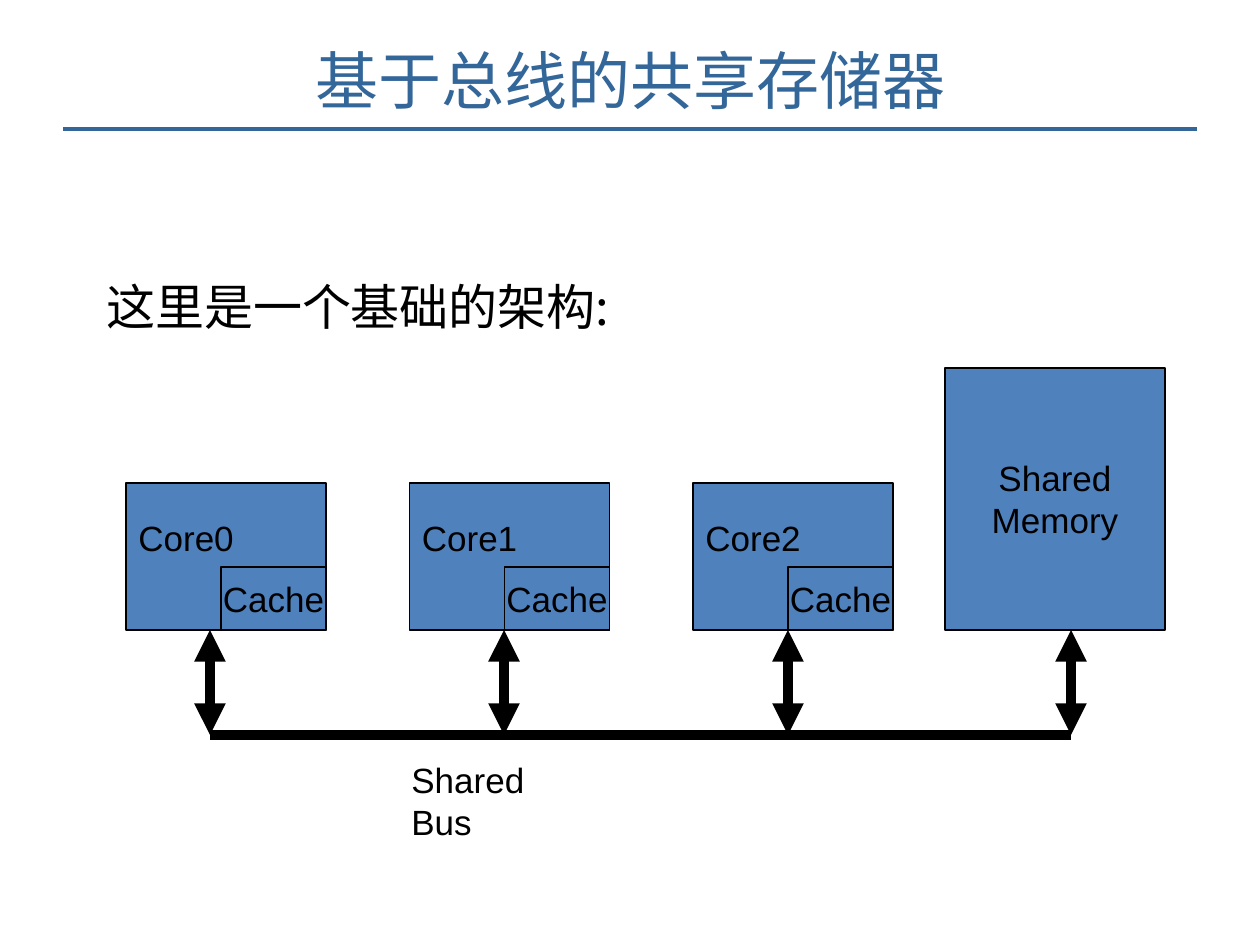
from lxml import etree
from pptx import Presentation
from pptx import util as u
from pptx.dml.color import RGBColor
from pptx.enum import shapes, text
from pptx.oxml.ns import qn

SCALE = 914400 / 126  # EMU in one px
BLUE, BLACK, FILL = "336699", "000000", "4F81BD"
CJK, LATIN = "Noto Sans CJK SC", "Arial"
LEFT, CENTER = text.PP_ALIGN.LEFT, text.PP_ALIGN.CENTER
TOP, MIDDLE = text.MSO_ANCHOR.TOP, text.MSO_ANCHOR.MIDDLE

TITLE = "基于总线的共享存储器"
INTRO = "这里是一个基础的架构:"
CORES = ["Core0", "Core1", "Core2"]
CACHE = "Cache"
MEMORY = ["Shared", "Memory"]
BUS = "Shared Bus"

CORE_LEFT, CORE_PITCH = 126, 283.5
CORE_W, CORE_H = 200, 147
CACHE_W, CACHE_H = 105, 63
BOX_BOTTOM, BUS_Y = 630, 735
MEMORY_BOX = (945, 368, 220, 262)
LINK_XS = [210, 504, 788, 1071]


def px(n):
    return u.Emu(round(n * SCALE))


def color(value):
    return RGBColor.from_string(value)


def write(sp, lines, size=20, font=LATIN, ink=BLACK, align=LEFT, **frame):
    tf = sp.text_frame
    for name, value in frame.items():
        setattr(tf, name, value)
    for i, line in enumerate(lines):
        p = tf.paragraphs[0] if i == 0 else tf.add_paragraph()
        p.alignment = align
        r = p.add_run()
        r.text = line
        r.font.size, r.font.name = u.Pt(size), font
        r.font.color.rgb = color(ink)
        if font == CJK:
            r.font._element.find(qn("a:latin")).addnext(
                etree.Element(qn("a:ea"), typeface=font))
    return tf


def add_text(slide, box, lines, **fmt):
    sp = slide.shapes.add_textbox(*map(px, box))
    return write(sp, lines, word_wrap=True, **fmt)


def add_box(slide, box, lines, **fmt):
    sp = slide.shapes.add_shape(shapes.MSO_SHAPE.RECTANGLE, *map(px, box))
    sp.shadow.inherit = False
    sp.fill.solid()
    sp.fill.fore_color.rgb = color(FILL)
    sp.line.color.rgb = color(BLACK)
    sp.line.width = u.Pt(0.75)
    write(sp, lines, word_wrap=False, **fmt)


def add_line(slide, ends, ink=BLACK, width=6, arrows=False):
    sp = slide.shapes.add_connector(shapes.MSO_CONNECTOR.STRAIGHT, *map(px, ends))
    sp.line.color.rgb = color(ink)
    sp.line.width = u.Pt(width)
    if arrows:
        for tag in ("a:headEnd", "a:tailEnd"):
            etree.SubElement(sp.line._get_or_add_ln(), qn(tag), type="triangle")
    etree.SubElement(sp._element.spPr, qn("a:effectLst"))


def main():
    prs = Presentation()
    prs.slide_width, prs.slide_height = px(1260), px(945)
    slide = prs.slides.add_slide(prs.slide_layouts[5])

    title = slide.shapes.title
    title.left, title.top, title.width, title.height = map(px, (0, 32, 1260, 94))
    write(title, [TITLE], size=36, font=CJK, ink=BLUE, align=CENTER,
          vertical_anchor=MIDDLE)
    add_line(slide, (63, 129, 1197, 129), ink=BLUE, width=2)

    intro = add_text(slide, (94, 273, 1071, 136), [INTRO], size=28, font=CJK)
    intro.paragraphs[0].line_spacing = u.Pt(32)

    for i, core in enumerate(CORES):
        left = CORE_LEFT + i * CORE_PITCH
        add_box(slide, (left, BOX_BOTTOM - CORE_H, CORE_W, CORE_H), [core],
                vertical_anchor=TOP, margin_top=px(33))
        add_box(slide, (left + CORE_W - CACHE_W, BOX_BOTTOM - CACHE_H, CACHE_W, CACHE_H),
                [CACHE], align=CENTER, vertical_anchor=MIDDLE)
    add_box(slide, MEMORY_BOX, MEMORY, align=CENTER, vertical_anchor=MIDDLE)

    add_line(slide, (LINK_XS[0], BUS_Y, LINK_XS[-1], BUS_Y))
    for x in LINK_XS:
        add_line(slide, (x, BOX_BOTTOM, x, BUS_Y), arrows=True)
    add_text(slide, (399, 752, 188, 55), [BUS])

    prs.save("out.pptx")


if __name__ == "__main__":
    main()
